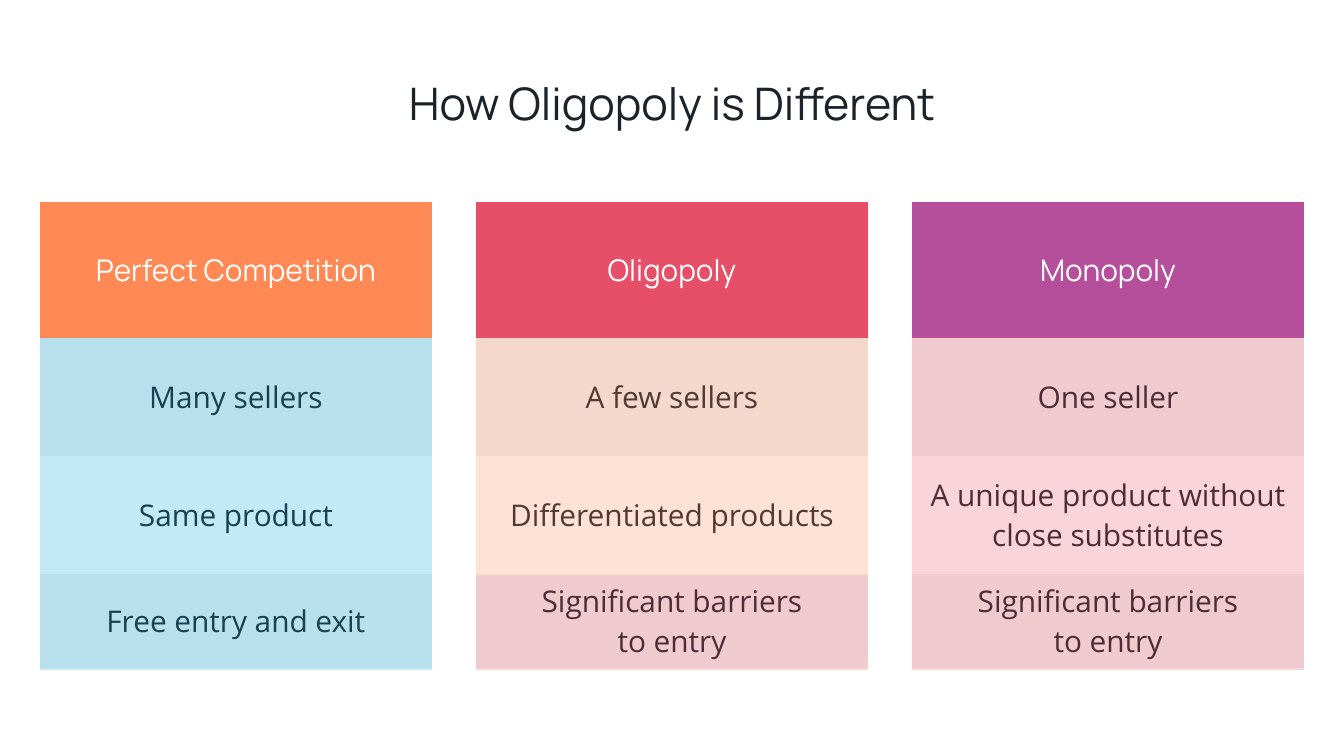
from dataclasses import dataclass

from pptx import Presentation
from pptx import util as u
from pptx.dml.color import RGBColor
from pptx.enum import shapes, text
from pptx.oxml.ns import qn
from lxml import etree

EMU_PER_PX = 914400 / 134.4
NO_GRID_STYLE = "{2D5ABB26-0587-4C30-8999-92F81FD0307C}"


@dataclass(frozen=True)
class Theme:
    ink: str = "1C2229"
    white: str = "FFFFFF"
    grey: str = "F2F2F2"
    orange: str = "FE8954"
    red: str = "E64F67"
    purple: str = "B54F9B"
    blue: str = "00A6DA"
    tint_alpha: int = 24
    heading_font: str = "Manrope"
    body_font: str = "Open Sans"
    title_size: int = 24
    cell_size: int = 16


THEME = Theme()
ROW_HEIGHTS = [136, 118, 118, 94]

# Heading, heading colour, rows, tints as (colour, top below the table top, height)
MARKETS = [
    ("Perfect Competition", THEME.orange,
     ["Many sellers", "Same product", "Free entry and exit"],
     [(THEME.blue, 136, 332)]),
    ("Oligopoly", THEME.red,
     ["A few sellers", "Differentiated products", "Significant barriers\nto entry"],
     [(THEME.red, 374, 94), (THEME.orange, 136, 238)]),
    ("Monopoly", THEME.purple,
     ["One seller", "A unique product without close substitutes",
      "Significant barriers\nto entry"],
     [(THEME.red, 136, 332)]),
]


def px(*lengths):
    return [u.Emu(round(length * EMU_PER_PX)) for length in lengths]


def style_text(frame, font_name, size, color):
    for paragraph in frame.paragraphs:
        paragraph.alignment = text.PP_ALIGN.CENTER
        for run in paragraph.runs:
            run.font.name = font_name
            run.font.size = u.Pt(size)
            run.font.color.rgb = RGBColor.from_string(color)


def add_title(slide, wording, box):
    title = slide.shapes.title
    title.left, title.top, title.width, title.height = px(*box)
    frame = title.text_frame
    frame.text = wording
    frame.auto_size = text.MSO_AUTO_SIZE.NONE
    frame.vertical_anchor = text.MSO_ANCHOR.MIDDLE
    frame.paragraphs[0].line_spacing = 0.9
    style_text(frame, THEME.heading_font, THEME.title_size, THEME.ink)


def add_market_table(slide, heading, heading_color, traits, box):
    table = slide.shapes.add_table(len(ROW_HEIGHTS), 1, *px(*box)).table
    table._tbl.tblPr.find(qn("a:tableStyleId")).text = NO_GRID_STYLE
    fills = [heading_color, THEME.grey, THEME.white, THEME.grey]
    for index, (wording, fill) in enumerate(zip([heading] + traits, fills)):
        table.rows[index].height = px(ROW_HEIGHTS[index])[0]
        cell = table.cell(index, 0)
        cell.fill.solid()
        cell.fill.fore_color.rgb = RGBColor.from_string(fill)
        cell.vertical_anchor = text.MSO_ANCHOR.MIDDLE
        cell.margin_left, cell.margin_right = px(10, 10)
        cell.margin_top, cell.margin_bottom = px(5, 5)
        cell.text_frame.text = wording
        if index == 0:
            style_text(cell.text_frame, THEME.heading_font, THEME.cell_size, THEME.white)
        else:
            style_text(cell.text_frame, THEME.body_font, THEME.cell_size, THEME.ink)


def add_tint(slide, color, box):
    tint = slide.shapes.add_shape(shapes.MSO_SHAPE.RECTANGLE, *px(*box))
    tint.shadow.inherit = False
    tint.line.fill.background()
    tint.fill.solid()
    tint.fill.fore_color.rgb = RGBColor.from_string(color)
    # Transparency
    rgb = tint._element.spPr.find(qn("a:solidFill")).find(qn("a:srgbClr"))
    etree.SubElement(rgb, qn("a:alpha")).set("val", str(THEME.tint_alpha * 1000))


def add_comparison(slide, markets, box):
    left, top, width, height = box
    column_width = 392
    pitch = (width - column_width) // (len(markets) - 1)
    lefts = [left + index * pitch for index in range(len(markets))]
    # Tables
    for column_left, (heading, color, traits, _) in zip(lefts, markets):
        add_market_table(slide, heading, color, traits,
                         (column_left, top, column_width, height))
    # Colour tints over the trait rows
    for column_left, (*_, tints) in zip(lefts, markets):
        for color, offset, tint_height in tints:
            add_tint(slide, color, (column_left, top + offset, column_width, tint_height))


def main():
    deck = Presentation()
    deck.slide_width, deck.slide_height = px(1344, 756)
    slide = deck.slides.add_slide(deck.slide_layouts[5])
    add_title(slide, "How Oligopoly is Different", (93, 82, 1158, 48))
    add_comparison(slide, MARKETS, (40, 202, 1264, sum(ROW_HEIGHTS)))
    deck.save("out.pptx")


if __name__ == "__main__":
    main()
